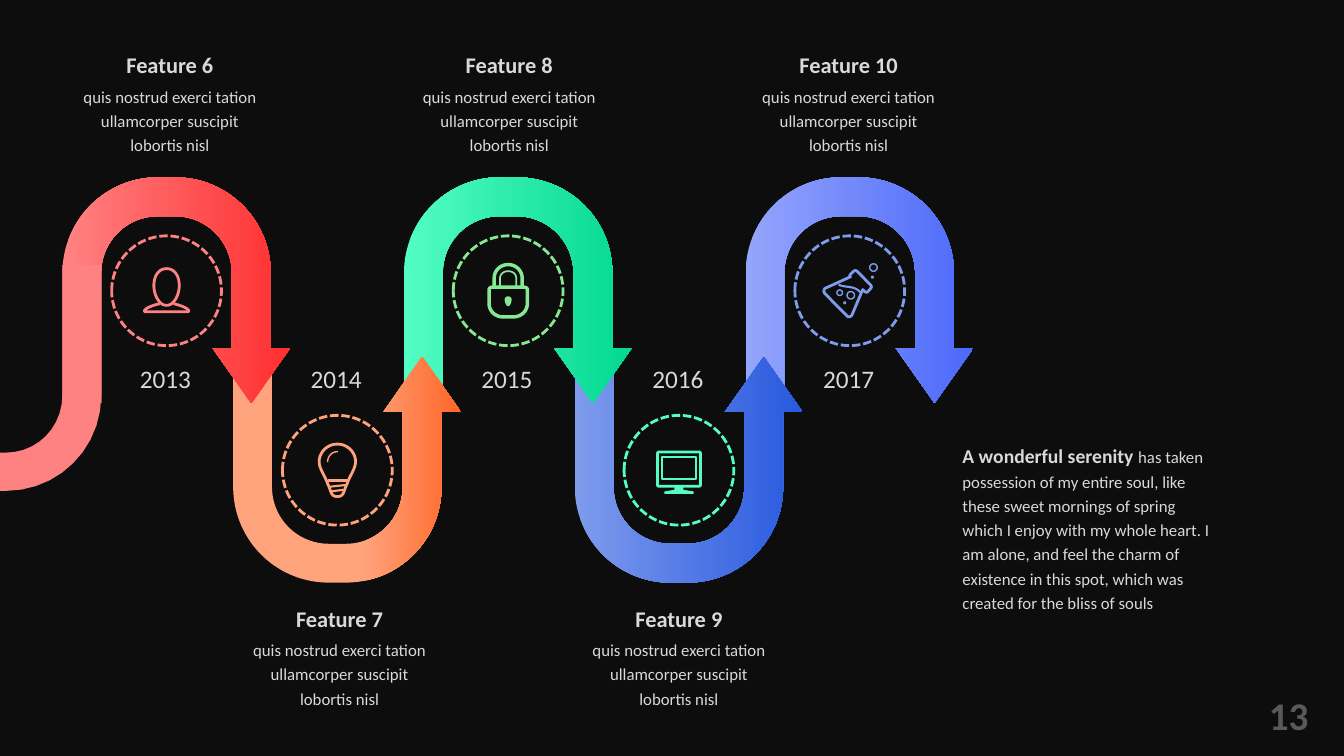
from pptx import Presentation
from pptx.dml.color import RGBColor
from pptx.enum.dml import MSO_LINE
from pptx.enum.shapes import MSO_SHAPE
from pptx.enum.text import MSO_AUTO_SIZE, PP_ALIGN
from pptx.oxml.ns import qn
from pptx.util import Pt

BACKGROUND = RGBColor(0x0D, 0x0D, 0x0D)
TEXT = RGBColor(0xD9, 0xD9, 0xD9)
NUMBER_GRAY = RGBColor(0x59, 0x59, 0x59)
CORAL, RED = RGBColor(0xFF, 0x82, 0x83), RGBColor(0xFF, 0x2F, 0x30)
PEACH, ORANGE = RGBColor(0xFF, 0xA3, 0x7D), RGBColor(0xFF, 0x66, 0x26)
MINT, GREEN = RGBColor(0x53, 0xFD, 0xC3), RGBColor(0x03, 0xD9, 0x90)
SKY, BLUE = RGBColor(0x7E, 0x9B, 0xEC), RGBColor(0x28, 0x59, 0xDF)
LAVENDER, INDIGO = RGBColor(0x94, 0xA5, 0xFC), RGBColor(0x4D, 0x69, 0xFA)
LEAF = RGBColor(0x86, 0xE8, 0x93)

HEADING = {"name": "Calibri", "size": Pt(16), "bold": True}
BODY = {"name": "Calibri", "size": Pt(12), "bold": False}
YEAR = {"name": "Calibri", "size": Pt(18), "bold": False}
LEAD = {"name": "Calibri", "size": Pt(14), "bold": True}
NUMBER = {"name": "Calibri", "size": Pt(28), "bold": True}

FEATURE_TEXT = "quis nostrud exerci tation ullamcorper suscipit lobortis nisl"
LEAD_TEXT = "A wonderful serenity "
CLOSING_TEXT = ("has taken possession of my entire soul, like these sweet mornings of spring "
                "which I enjoy with my whole heart. I am alone, and feel the charm of "
                "existence in this spot, which was created for the bliss of souls")

# Icon strokes: (line weight, mirrored, steps), points from the icon centre.
# A pair is a corner, six numbers a Bézier curve; weight 0 means a solid shape.
PERSON = [
    (2, True, [(0, -15.8), (5.5, -15.8, 8.5, -11, 9, -5.5), (9.5, -1, 8, 5, 4.5, 8.5),
               (3, 10, 1.5, 10.4, 0, 10.4)]),
    (2, True, [(5, 9.3), (11, 10.5, 15.8, 13, 15.8, 14.3), (15.8, 15, 15, 15, 14.4, 15),
               (0, 15)]),
]
BULB = [
    (2, True, [(0, -18.7), (7.2, -18.7, 13, -13, 13, -6.1), (13, -1, 8.5, 4.5, 7, 9.5),
               (4.2, 15, 5, 18.8, 0, 18.8)]),
    (2, True, [(6.5, 7.2), (0, 7.2)]),
    (1.5, False, [(-5.5, 11.8), (5.5, 10.6)]),
    (1.5, False, [(-4, 15), (4, 14)]),
    (1, False, [(-7, -5.8), (-7, -10, -4, -13.3, 0.3, -13.3)]),
]
LOCK = [
    (2.5, True, [(0, -2.5), (11.5, -2.5), (13, -2.5, 13.7, -1.5, 13.7, -0.5), (13.7, 9),
                 (13.7, 14.5, 9.3, 18.7, 3.6, 18.7), (0, 18.7)]),
    (2.5, True, [(10, -2.5), (10, -9), (10, -14.5, 5.5, -18.7, 0, -18.7)]),
    (1.25, True, [(5.8, -2.5), (5.8, -9), (5.8, -12, 3, -14, 0, -14)]),
    (0, True, [(0, 4), (1.5, 4, 2.5, 5, 2.5, 6.2), (2.5, 8, 1.5, 11, 0, 11)]),
]
MONITOR = [
    (2, True, [(0, -13), (14, -13), (15, -13, 15.4, -12.5, 15.4, -11.5), (15.4, 10),
               (15.4, 11, 15, 11.5, 14, 11.5), (0, 11.5)]),
    (1.25, True, [(0, -9.4), (11.9, -9.4), (11.9, 6.1), (0, 6.1)]),
    (0, True, [(0, 12), (3.2, 12), (3.2, 14), (10.4, 15.2), (10.4, 17), (0, 17)]),
]
FLASK = [
    (2, False, [(0.5, -10), (-17.5, -1.8), (-18.8, -1, -18.8, 1, -17.8, 2), (-2, 18),
                (-0.8, 19, 1, 18.6, 1.6, 17.2), (9.2, -0.8), (11, 0.8),
                (11.8, 1.3, 12.4, 1, 13, 0.5), (14.8, -1.5), (15.6, -2.3, 15.6, -3, 15, -4),
                (5.4, -13.8), (4.6, -14.6, 3.4, -14.6, 2.6, -13.8), (0.5, -11.8),
                (-0.2, -11, 0, -10.5, 0.5, -10)]),
    (1.5, False, [(-8, -4.3), (-3, -2, 3, -4, 7.5, 1)]),
]
# Bubbles: (x, y, radius, line weight)
BUBBLES = [(0.7, 3.2, 2.7, 1), (16.9, -16.6, 2.7, 1), (-7.2, 1.4, 2, 1),
           (-3.6, 8.6, 1.1, 0), (16.2, -9.7, 1.1, 0)]

# Start colour, end colour, first gradient stop, icon colour, icon, bubbles
STAGES = [
    (CORAL, RED, 0, CORAL, PERSON, []),
    (PEACH, ORANGE, 0.57, PEACH, BULB, []),
    (MINT, GREEN, 0, LEAF, LOCK, []),
    (SKY, BLUE, 0, MINT, MONITOR, []),
    (LAVENDER, INDIGO, 0, SKY, FLASK, BUBBLES),
]
ARROW_LEFT, ARROW_STEP, ARROW_TOPS = 44.6, 122, (126.7, 254.9)
LABEL_LEFT, LABEL_STEP, LABEL_TOPS = 49.7, 121.2, (29.5, 424.8)


def paint(shape, color, weight):
    """Stroke the shape, or fill it when the weight is 0."""
    shape.shadow.inherit = False
    if weight:
        shape.fill.background()
        shape.line.color.rgb = color
        shape.line.width = Pt(weight)
    else:
        shape.fill.solid()
        shape.fill.fore_color.rgb = color
        shape.line.fill.background()


def flatten(steps, pieces=10):
    points = [steps[0]]
    for step in steps[1:]:
        if len(step) == 2:
            points.append(step)
            continue
        x0, y0 = points[-1]
        x1, y1, x2, y2, x3, y3 = step
        for piece in range(1, pieces + 1):
            t = piece / pieces
            a, b, c, d = (1 - t) ** 3, 3 * t * (1 - t) ** 2, 3 * t * t * (1 - t), t ** 3
            points.append((a * x0 + b * x1 + c * x2 + d * x3,
                           a * y0 + b * y1 + c * y2 + d * y3))
    return points


def add_outline(slide, x, y, color, weight, mirrored, steps):
    points = flatten(steps)
    closed = weight == 0 or points[0] == points[-1]
    if mirrored:
        closed = closed or points[0][0] == 0
        points += [(-px, py) for px, py in reversed(points)]
    placed = [(Pt(x + px), Pt(y + py)) for px, py in points]
    builder = slide.shapes.build_freeform(*placed[0], scale=1.0)
    builder.add_line_segments(placed[1:], close=closed)
    paint(builder.convert_to_shape(), color, weight)


def add_circle(slide, x, y, radius, color, weight):
    circle = slide.shapes.add_shape(MSO_SHAPE.OVAL, Pt(x - radius), Pt(y - radius),
                                    Pt(2 * radius), Pt(2 * radius))
    paint(circle, color, weight)
    return circle


def add_text(slide, left, top, width, height, runs, align=PP_ALIGN.CENTER,
             color=TEXT, spacing=1.0, wrap=True):
    frame = slide.shapes.add_textbox(Pt(left), Pt(top), Pt(width), Pt(height)).text_frame
    frame.word_wrap = wrap
    frame.auto_size = MSO_AUTO_SIZE.SHAPE_TO_FIT_TEXT
    paragraph = frame.paragraphs[0]
    paragraph.alignment = align
    paragraph.line_spacing = spacing
    for text, style in runs:
        run = paragraph.add_run()
        run.text = text
        for name, value in style.items():
            setattr(run.font, name, value)
        run.font.color.rgb = color


def add_arrow(slide, left, top, start, end, first_stop, flipped):
    arrow = slide.shapes.add_shape(MSO_SHAPE.U_TURN_ARROW, Pt(left), Pt(top),
                                   Pt(162.7), Pt(161.3))
    for index, value in enumerate((0.172, 0.172, 0.244, 0.423, 1)):
        arrow.adjustments[index] = value
    paint(arrow, start, 0)
    arrow.fill.gradient()
    arrow.fill.gradient_angle = 0
    for stop, color, position in zip(arrow.fill.gradient_stops, (start, end), (first_stop, 1)):
        stop.color.rgb = color
        stop.position = position
    if flipped:
        arrow.element.spPr.find(qn("a:xfrm")).set("flipV", "1")


def add_badge(slide, x, y, color, icon, bubbles):
    add_circle(slide, x, y, 39.2, color, 2).line.dash_style = MSO_LINE.SQUARE_DOT
    for weight, mirrored, steps in icon:
        add_outline(slide, x, y, color, weight, mirrored, steps)
    for dx, dy, radius, weight in bubbles:
        add_circle(slide, x + dx, y + dy, radius, color, weight)


def add_feature(slide, left, top, title):
    add_text(slide, left, top + 25.9, 143.3, 59.8, [(FEATURE_TEXT, BODY)], spacing=1.2)
    add_text(slide, left, top, 143.3, 28.8, [(title, HEADING)], spacing=1.2)


def build_timeline(slide):
    # Arrows, the last one at the back
    for index, (start, end, first_stop, *_) in reversed(list(enumerate(STAGES))):
        add_arrow(slide, ARROW_LEFT + index * ARROW_STEP, ARROW_TOPS[index % 2],
                  start, end, first_stop, index % 2 == 1)
    # Ribbon entering from the left edge
    add_outline(slide, 0, 0, CORAL, 0, False, [
        (44.6, 189.4), (72.4, 189.4), (72.4, 282.2), (72.4, 320.4, 41.8, 350.6, 4.3, 350.6),
        (0, 350.6), (0, 323.3), (4.3, 323.3), (26.6, 323.3, 44.6, 305.3, 44.6, 282.2)])
    # Badges, years and features
    for index, (*_, color, icon, bubbles) in enumerate(STAGES):
        left, row = ARROW_LEFT + index * ARROW_STEP, index % 2
        add_badge(slide, left + 74.4, ARROW_TOPS[row] + 81, color, icon, bubbles)
        add_text(slide, left + 48, 256.3, 51.1, 28.8, [(str(2013 + index), YEAR)], wrap=False)
        add_feature(slide, LABEL_LEFT + index * LABEL_STEP, LABEL_TOPS[row],
                    f"Feature {6 + index}")


def main():
    presentation = Presentation()
    presentation.slide_width, presentation.slide_height = Pt(960), Pt(540)
    slide = presentation.slides.add_slide(presentation.slide_layouts[6])
    slide.background.fill.solid()
    slide.background.fill.fore_color.rgb = BACKGROUND
    add_text(slide, 826.6, 490.3, 115.2, 41, [("13", NUMBER)], PP_ALIGN.RIGHT, NUMBER_GRAY)
    build_timeline(slide)
    add_text(slide, 680.4, 310.3, 192.2, 131, [(LEAD_TEXT, LEAD), (CLOSING_TEXT, BODY)],
             PP_ALIGN.LEFT, spacing=1.2)
    presentation.save("out.pptx")


if __name__ == "__main__":
    main()
